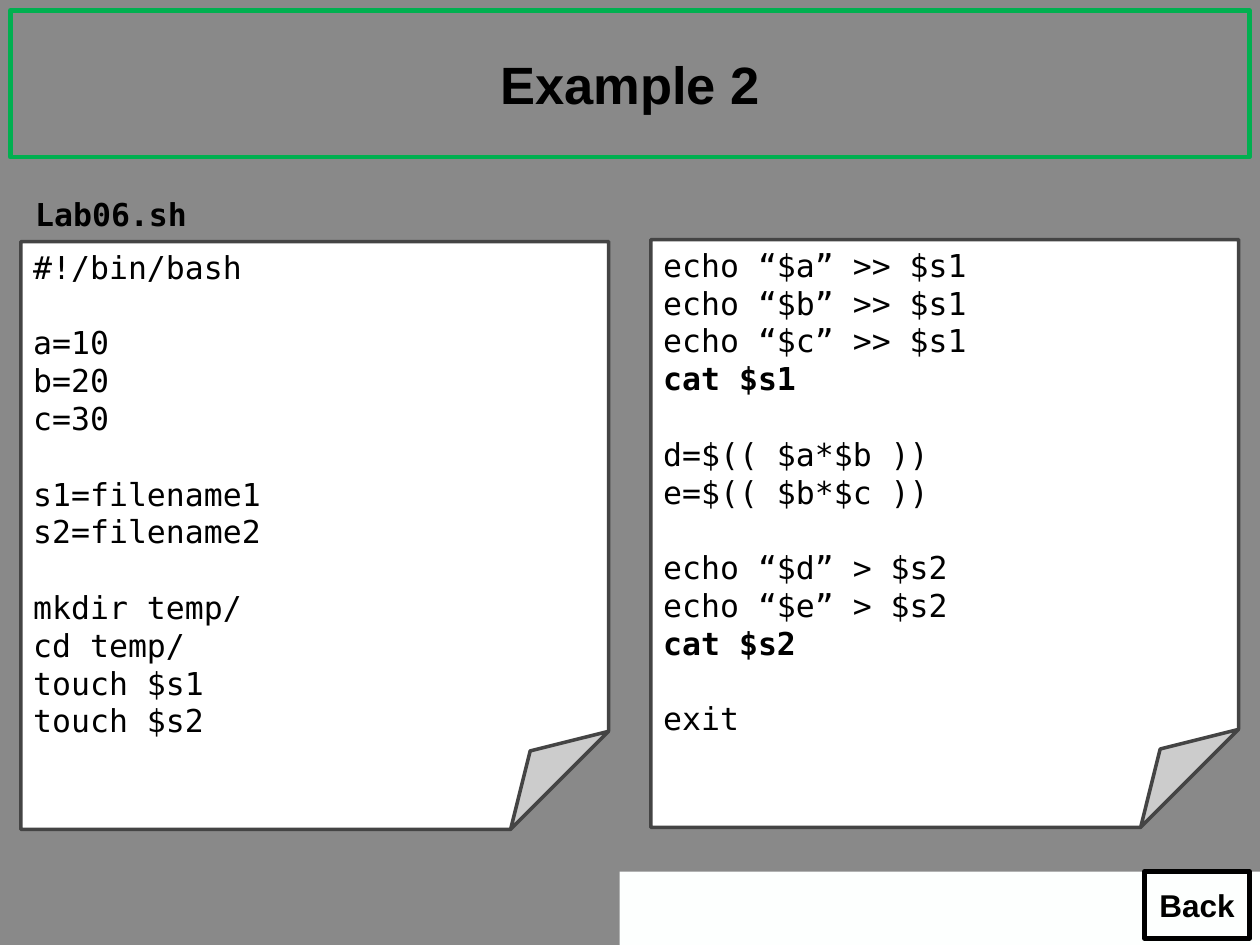
from dataclasses import dataclass

from pptx import Presentation
from pptx.dml.color import RGBColor
from pptx.enum.shapes import MSO_SHAPE
from pptx.enum.text import MSO_ANCHOR, PP_ALIGN
from pptx.util import Cm, Pt

RECTANGLE, FOLDED = MSO_SHAPE.RECTANGLE, MSO_SHAPE.FOLDED_CORNER
TOP, MIDDLE = MSO_ANCHOR.TOP, MSO_ANCHOR.MIDDLE
LEFT, CENTER = PP_ALIGN.LEFT, PP_ALIGN.CENTER


@dataclass(frozen=True)
class Theme:
    """Colours, fonts and type sizes of the slide."""
    background: str = "898989"
    footer: str = "FDFFFE"
    paper: str = "FFFFFF"
    paper_edge: str = "444444"
    accent: str = "00B050"
    ink: str = "000000"
    heading_font: str = "Arial"
    code_font: str = "DejaVu Sans Mono"
    title_size: float = 30
    body_size: float = 18
    code_gap: float = 21.6


theme = Theme()


def add_box(page, preset, place, fill=None, line=None, width=2.5):
    """Add a flat shape with an optional fill and outline."""
    box = page.shapes.add_shape(preset, *(Cm(length) for length in place))
    box.shadow.inherit = False
    if fill:
        box.fill.solid()
        box.fill.fore_color.rgb = RGBColor.from_string(fill)
    else:
        box.fill.background()
    if line:
        box.line.color.rgb = RGBColor.from_string(line)
        box.line.width = Pt(width)
    else:
        box.line.fill.background()
    return box


def write(box, blocks, font, size, bold=(), align=LEFT, anchor=TOP):
    """Write blocks of lines, with one line's gap between blocks."""
    frame = box.text_frame
    frame.word_wrap = True
    frame.vertical_anchor = anchor
    frame.text = "\n".join(line for block in blocks for line in block)
    starts = [sum(map(len, blocks[:index])) for index in range(1, len(blocks))]
    for index, para in enumerate(frame.paragraphs):
        para.alignment = align
        if index in starts:
            para.space_before = Pt(theme.code_gap)
        for span in para.runs:
            span.font.name = font
            span.font.size = Pt(size)
            span.font.bold = span.text in bold
            span.font.color.rgb = RGBColor.from_string(theme.ink)


deck = Presentation()
deck.slide_width, deck.slide_height = Cm(25.4), Cm(19.05)
page = deck.slides.add_slide(deck.slide_layouts[6])
page.background.fill.solid()
page.background.fill.fore_color.rgb = RGBColor.from_string(theme.background)

add_box(page, RECTANGLE, (12.49, 17.57, 12.91, 1.48), theme.footer)

labels = [
    ("Example 2", (0.21, 0.21, 24.98, 2.96), theme.accent, theme.title_size),
    ("Back", (23.07, 17.57, 2.12, 1.35), theme.ink, theme.body_size),
]
for label, place, line, size in labels:
    box = add_box(page, RECTANGLE, place, line=line)
    write(box, [[label]], theme.heading_font, size, [label], CENTER, MIDDLE)

file_name = "Lab06.sh"
name_box = page.shapes.add_textbox(Cm(0.46), Cm(3.81), Cm(6.93), Cm(1.02))
write(name_box, [[file_name]], theme.code_font, theme.body_size, [file_name])

sheets = [
    (0.42, 4.87, [
        ["#!/bin/bash"],
        ["a=10", "b=20", "c=30"],
        ["s1=filename1", "s2=filename2"],
        ["mkdir temp/", "cd temp/", "touch $s1", "touch $s2"],
    ]),
    (13.12, 4.83, [
        ["echo “$a” >> $s1", "echo “$b” >> $s1", "echo “$c” >> $s1", "cat $s1"],
        ["d=$(( $a*$b ))", "e=$(( $b*$c ))"],
        ["echo “$d” > $s2", "echo “$e” > $s2", "cat $s2"],
        ["exit"],
    ]),
]
sheet_side = 11.85
for left, top, blocks in sheets:
    place = (left, top, sheet_side, sheet_side)
    sheet = add_box(page, FOLDED, place, theme.paper, theme.paper_edge, 2)
    write(sheet, blocks, theme.code_font, theme.body_size, ["cat $s1", "cat $s2"])

deck.save("out.pptx")
